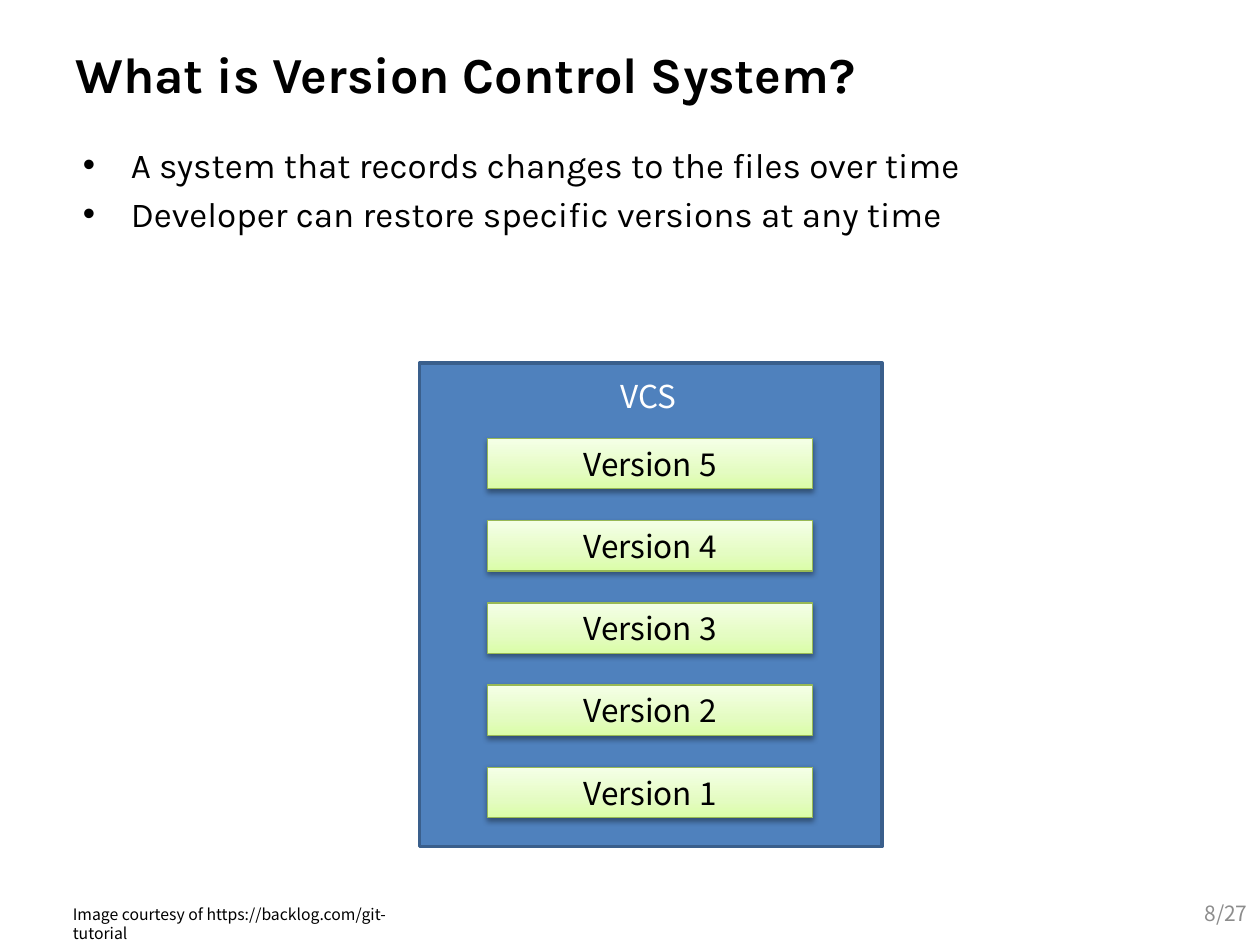
from copy import deepcopy

from lxml.etree import SubElement
from pptx import Presentation
from pptx.dml.color import RGBColor
from pptx.enum.shapes import MSO_SHAPE
from pptx.enum.text import MSO_ANCHOR as Anchor, MSO_AUTO_SIZE as AutoSize, PP_ALIGN as Align
from pptx.oxml.ns import qn
from pptx.util import Inches, Pt

TITLE = "What is Version Control System?"
POINTS = ["A system that records changes to the files over time",
          "Developer can restore specific versions at any time"]
SYSTEM = "VCS"
VERSIONS = ["Version 5", "Version 4", "Version 3", "Version 2", "Version 1"]
CREDIT = "Image courtesy of https://backlog.com/git-tutorial"
PAGE = "8/27"

BLACK = RGBColor(0x00, 0x00, 0x00)
WHITE = RGBColor(0xFF, 0xFF, 0xFF)
GRAY = RGBColor(0x8C, 0x8C, 0x8C)
BLUE = RGBColor(0x4F, 0x81, 0xBD)
DARK_BLUE = RGBColor(0x3A, 0x5F, 0x8C)
GREEN_LINE = RGBColor(0x98, 0xB9, 0x55)
GREEN_STOPS = [(0, RGBColor(0xDA, 0xFD, 0xA7)),
               (0.35, RGBColor(0xE4, 0xFC, 0xC2)),
               (1, RGBColor(0xF5, 0xFF, 0xE7))]

HEADING = dict(name="Karla", size=Pt(28.8), bold=True, color=BLACK)
BODY = dict(name="Karla", size=Pt(20), color=BLACK)
LABEL = dict(name="Noto Sans CJK KR", size=Pt(18), color=BLACK)
SYSTEM_LABEL = LABEL | dict(color=WHITE)
SMALL = LABEL | dict(size=Pt(9))
PAGE_NUMBER = LABEL | dict(size=Pt(12), color=GRAY)

MARGIN, CONTENT_W = 0.5, 9
VCS_BOX = (3.33, 2.88, 3.67, 3.84)
BAR_LEFT, BAR_W, BAR_H = 3.87, 2.58, 0.4
FIRST_BAR, LAST_BAR = 3.48, 6.09


def inches(box):
    return [Inches(length) for length in box]


def write(shape, lines, look, align=Align.LEFT, **frame_format):
    frame = shape.text_frame
    for key, value in (dict(word_wrap=True) | frame_format).items():
        setattr(frame, key, value)
    frame.text = "\n".join(lines)
    for paragraph in frame.paragraphs:
        paragraph.alignment = align
        for run in paragraph.runs:
            for key, value in look.items():
                if key == "color":
                    run.font.color.rgb = value
                else:
                    setattr(run.font, key, value)
    return frame


def add_text(shapes, box, lines, look, **options):
    return write(shapes.add_textbox(*inches(box)), lines, look, **options)


def add_box(shapes, box, line_color, line_width):
    shape = shapes.add_shape(MSO_SHAPE.RECTANGLE, *inches(box))
    shape.shadow.inherit = False
    shape.line.color.rgb = line_color
    shape.line.width = Pt(line_width)
    return shape


def add_bullets(frame):
    for index, paragraph in enumerate(frame.paragraphs):
        props = paragraph._p.get_or_add_pPr()
        props.set("marL", str(Inches(0.44)))
        props.set("indent", str(Inches(-0.38)))
        SubElement(props, qn("a:buFont"), typeface="Arial")
        SubElement(props, qn("a:buChar"), char="•")
        if index:
            paragraph.space_before = Pt(4)


def fill_green(shape):
    """Fill with the three-stop gradient, light at the top."""
    shape.fill.gradient()
    shape.fill.gradient_angle = 90
    stop_list = shape._element.spPr.find(qn("a:gradFill")).find(qn("a:gsLst"))
    stop_list.insert(1, deepcopy(stop_list[0]))
    for stop, (position, color) in zip(shape.fill.gradient_stops, GREEN_STOPS):
        stop.position = position
        stop.color.rgb = color


def add_drop_shadow(shape):
    effects = shape._element.spPr.find(qn("a:effectLst"))
    shadow = SubElement(effects, qn("a:outerShdw"), blurRad=str(Pt(3.1)), dist=str(Pt(1.6)),
                        dir="5400000", rotWithShape="0")
    color = SubElement(shadow, qn("a:srgbClr"), val="000000")
    SubElement(color, qn("a:alpha"), val="38000")


def add_vcs(slide):
    shapes = slide.shapes.add_group_shape().shapes
    system = add_box(shapes, VCS_BOX, DARK_BLUE, 2)
    system.fill.solid()
    system.fill.fore_color.rgb = BLUE
    add_text(shapes, (4.83, 2.94, 0.65, 0.4), [SYSTEM], SYSTEM_LABEL,
             word_wrap=False, auto_size=AutoSize.SHAPE_TO_FIT_TEXT)
    pitch = (LAST_BAR - FIRST_BAR) / (len(VERSIONS) - 1)
    for row, version in enumerate(VERSIONS):
        bar = add_box(shapes, (BAR_LEFT, FIRST_BAR + row * pitch, BAR_W, BAR_H), GREEN_LINE, 0.75)
        fill_green(bar)
        add_drop_shadow(bar)
        write(bar, [version], LABEL, align=Align.CENTER, vertical_anchor=Anchor.TOP,
              auto_size=AutoSize.SHAPE_TO_FIT_TEXT)


def main():
    deck = Presentation()
    deck.slide_width, deck.slide_height = Inches(10), Inches(7.5)
    slide = deck.slides.add_slide(deck.slide_layouts[6])
    add_text(slide.shapes, (MARGIN, 0.3, CONTENT_W, 0.56), [TITLE], HEADING,
             vertical_anchor=Anchor.MIDDLE)
    add_bullets(add_text(slide.shapes, (MARGIN, 1.09, CONTENT_W, 1.1), POINTS, BODY))
    add_text(slide.shapes, (8.95, 7.03, 1.05, 0.44), [PAGE], PAGE_NUMBER,
             align=Align.RIGHT, vertical_anchor=Anchor.MIDDLE)
    add_text(slide.shapes, (0.48, 7.13, 2.76, 0.25), [CREDIT], SMALL)
    add_vcs(slide)
    deck.save("out.pptx")


if __name__ == "__main__":
    main()
